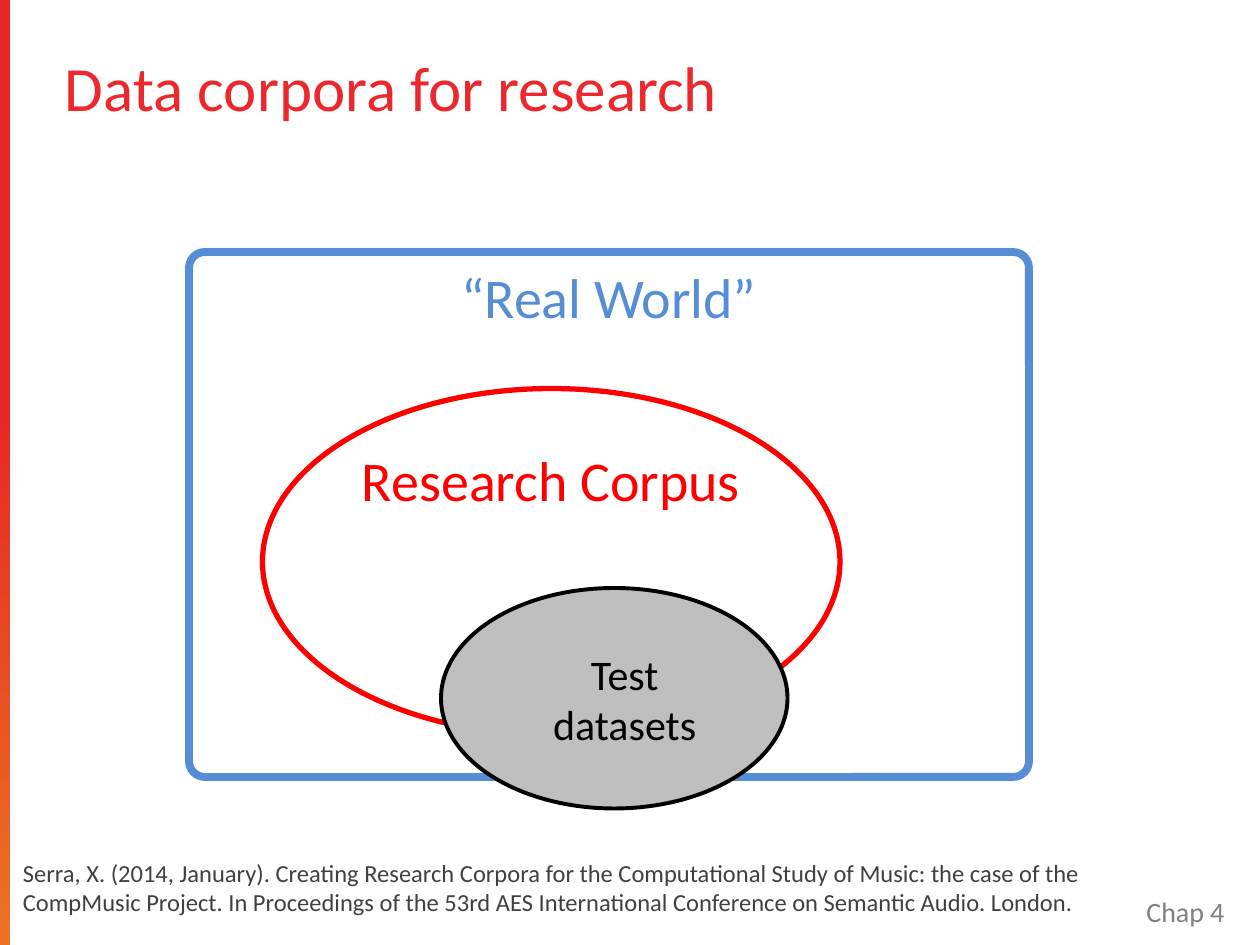
from dataclasses import dataclass
from typing import Optional

from pptx import Presentation
from pptx.dml.color import RGBColor
from pptx.enum.shapes import MSO_SHAPE
from pptx.enum.text import MSO_ANCHOR, PP_ALIGN
from pptx.util import Inches, Pt

COLS, ROWS = 120, 90
WIDTH, HEIGHT = Inches(10), Inches(7.5)


@dataclass
class Area:
    col: float
    row: float
    cols: float
    rows: float

    def place(self) -> list[int]:
        x, y = WIDTH / COLS, HEIGHT / ROWS
        return [round(n) for n in (self.col * x, self.row * y,
                                   self.cols * x, self.rows * y)]


@dataclass
class Label:
    text: str
    size: float
    hue: str
    align: PP_ALIGN = PP_ALIGN.LEFT
    anchor: MSO_ANCHOR = MSO_ANCHOR.TOP
    wrap: bool = True


@dataclass
class Region:
    kind: MSO_SHAPE
    area: Area
    line: str
    weight: float
    fill: Optional[str] = None
    label: Optional[Label] = None
    corner: Optional[float] = None


@dataclass
class Note:
    area: Area
    label: Label


CENTER, MIDDLE = PP_ALIGN.CENTER, MSO_ANCHOR.MIDDLE
BAR = Area(0, 0, 1, ROWS)
STOPS = [(0.44, "E72825"), (1, "EC7323")]
SETS = [
    Region(MSO_SHAPE.ROUNDED_RECTANGLE, Area(18, 24, 80, 50), "558ED5", 4.5,
           label=Label("“Real World”", 32, "558ED5", CENTER), corner=0.03),
    Region(MSO_SHAPE.OVAL, Area(25, 37, 55, 33), "FF0000", 3, "FFFFFF",
           Label("Research Corpus", 32, "FF0000", CENTER)),
    Region(MSO_SHAPE.OVAL, Area(42, 56, 33, 21), "000000", 2.25, "BFBFBF"),
]
NOTES = [
    Note(Area(5, 3, 108, 10.4),
         Label("Data corpora for research", 36, "EC282D", anchor=MIDDLE)),
    Note(Area(1, 81.1, 114, 6.8),
         Label("Serra, X. (2014, January). Creating Research Corpora for the "
               "Computational Study of Music: the case of the CompMusic Project. "
               "In Proceedings of the 53rd AES International Conference on "
               "Semantic Audio. London.", 14, "404040")),
    Note(Area(108, 84.6, 10, 4.4), Label("Chap 4", 16, "808080", wrap=False)),
    Note(Area(51.2, 61.1, 16.6, 10.9),
         Label("Test\ndatasets", 24, "000000", CENTER, MIDDLE, False)),
]


def paint(part, hue: str) -> None:
    part.rgb = RGBColor.from_string(hue)


def write(shape, label: Label) -> None:
    frame = shape.text_frame
    frame.text = label.text
    frame.word_wrap = label.wrap
    frame.vertical_anchor = label.anchor
    for line in frame.paragraphs:
        line.alignment = label.align
        for run in line.runs:
            run.font.name = "Calibri"
            run.font.size = Pt(label.size)
            paint(run.font.color, label.hue)


def draw_bar(slide) -> None:
    bar = slide.shapes.add_shape(MSO_SHAPE.RECTANGLE, *BAR.place())
    bar.shadow.inherit = False
    bar.line.fill.background()
    bar.fill.gradient()
    bar.fill.gradient_angle = 270
    for stop, (share, hue) in zip(bar.fill.gradient_stops, STOPS):
        stop.position = share
        paint(stop.color, hue)


def draw_set(slide, item: Region) -> None:
    shape = slide.shapes.add_shape(item.kind, *item.area.place())
    shape.shadow.inherit = False
    shape.line.width = Pt(item.weight)
    paint(shape.line.color, item.line)
    if item.corner is not None:
        shape.adjustments[0] = item.corner
    if item.fill:
        shape.fill.solid()
        paint(shape.fill.fore_color, item.fill)
    else:
        shape.fill.background()
    if item.label:
        write(shape, item.label)


def draw_note(slide, note: Note) -> None:
    write(slide.shapes.add_textbox(*note.area.place()), note.label)


def main() -> None:
    deck = Presentation()
    deck.slide_width, deck.slide_height = WIDTH, HEIGHT
    slide = deck.slides.add_slide(deck.slide_layouts[6])
    draw_bar(slide)
    for item in SETS:
        draw_set(slide, item)
    for note in NOTES:
        draw_note(slide, note)
    deck.save("out.pptx")


if __name__ == "__main__":
    main()
